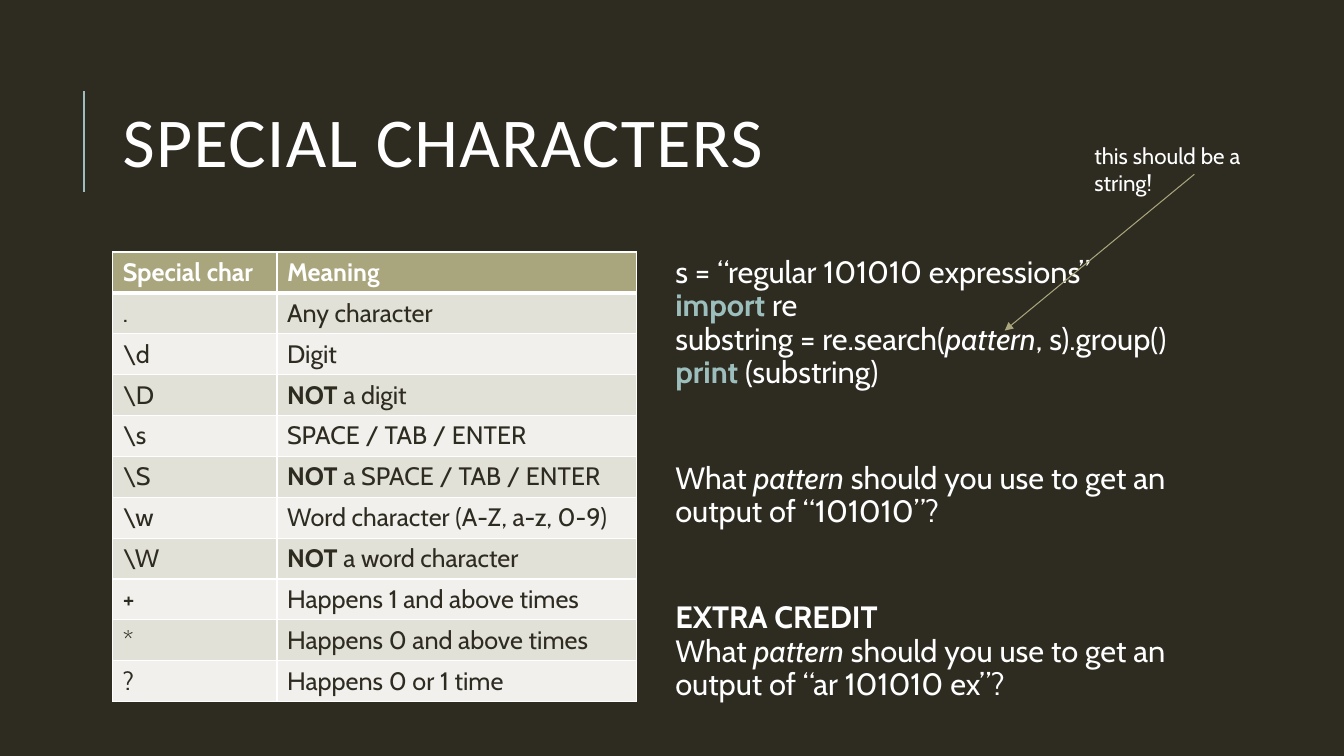
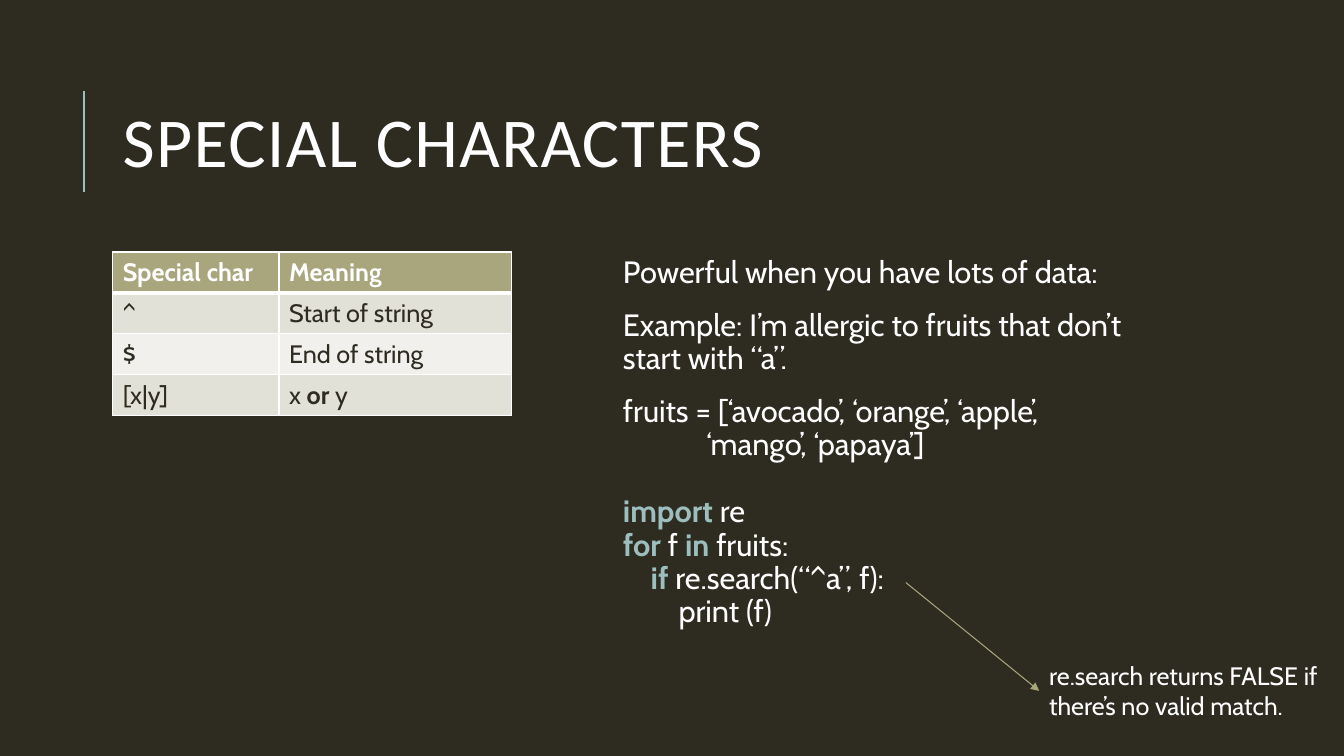
from dataclasses import dataclass

from lxml.etree import SubElement
from pptx import Presentation
from pptx.dml.color import RGBColor
from pptx.enum.shapes import MSO_CONNECTOR as Connector
from pptx.enum.text import MSO_ANCHOR as Anchor
from pptx.oxml.ns import qn
from pptx.util import Cm, Pt

COLORS = {
    "ground": "2E2B21",
    "text": "FFFFFF",
    "accent": "9CBEBD",
    "header": "A9A57C",
    "odd_row": "E2E1D7",
    "even_row": "F1F0EC",
}
HEADING_FONT, BODY_FONT = "Calibri", "Cabin"
CONTENT_TOP, CONTENT_RIGHT, LEFT = 6.35, 29.85, 2.84
ROW_HEIGHT = 1.03
INDENT_STEP = 0.7
PARAGRAPH_GAP = 14  # points between ordinary paragraphs
LINE_GAP = 24       # one empty line of body text
SECTION_GAP = 52    # an empty paragraph with its spacing


def rgb(name):
    return RGBColor.from_string(COLORS[name])


def bold(text):
    return text, "bold"


def italic(text):
    return text, "italic"


def keyword(text):
    return text, "keyword"


@dataclass
class Line:
    """One paragraph: its runs, the space before it and its indent level."""
    runs: tuple
    before: float = 0
    level: int = 0


class Deck:
    """Holds the shared style and the slide being filled."""

    def __init__(self):
        self.prs = Presentation()
        self.prs.slide_width, self.prs.slide_height = Cm(33.87), Cm(19.05)
        self.slide = None

    def new_slide(self, title):
        self.slide = self.prs.slides.add_slide(self.prs.slide_layouts[6])
        background = self.slide.background.fill
        background.solid()
        background.fore_color.rgb = rgb("ground")
        self.line((2.11, 4.83), (2.11, 2.29), "accent", 1.5)
        frame = self.text_frame(LEFT, 1.63, 27, 4.17)[1]
        frame.vertical_anchor = Anchor.MIDDLE
        heading = frame.paragraphs[0]
        heading.line_spacing = 0.8
        self.add_runs(heading, (title,), 50, font=HEADING_FONT, spacing=100)

    def add_runs(self, paragraph, runs, size, color="text", font=BODY_FONT, spacing=0):
        for item in runs:
            text, style = (item, "plain") if isinstance(item, str) else item
            run = paragraph.add_run()
            run.text = text
            run.font.name, run.font.size = font, Pt(size)
            run.font.bold = style in ("bold", "keyword")
            run.font.italic = style == "italic"
            run.font.color.rgb = rgb("accent" if style == "keyword" else color)
            if spacing:
                run.font._element.set("spc", str(spacing))

    def text_frame(self, left, top, width, height):
        box = self.slide.shapes.add_textbox(Cm(left), Cm(top), Cm(width), Cm(height))
        box.text_frame.word_wrap = True
        return box, box.text_frame

    def body(self, left, lines):
        frame = self.text_frame(left, CONTENT_TOP, CONTENT_RIGHT - left, 11.66)[1]
        frame.margin_left = Cm(0.38)
        frame.margin_top = frame.margin_right = frame.margin_bottom = Cm(0.13)
        for number, line in enumerate(lines):
            paragraph = frame.add_paragraph() if number else frame.paragraphs[0]
            paragraph.line_spacing = 0.9
            paragraph.space_before, paragraph.space_after = Pt(line.before), Pt(0)
            if line.level:
                properties = paragraph._p.get_or_add_pPr()
                properties.set("marL", str(Cm(INDENT_STEP * line.level)))
                properties.set("indent", "0")
            self.add_runs(paragraph, line.runs, 22)

    def note(self, left, top, width, height, text, size):
        box, frame = self.text_frame(left, top, width, height)
        self.add_runs(frame.paragraphs[0], (text,), size)
        return box

    def line(self, start, end, color, weight):
        points = [Cm(value) for value in (*start, *end)]
        line = self.slide.shapes.add_connector(Connector.STRAIGHT, *points)
        line.line.color.rgb = rgb(color)
        line.line.width = Pt(weight)
        SubElement(line._element.spPr, qn("a:effectLst"))
        return line

    def arrow(self, start, end):
        arrow = self.line(start, end, "header", 0.75)
        SubElement(arrow.line._get_or_add_ln(), qn("a:tailEnd"), type="triangle")
        return arrow

    def border(self, cell, side, weight):
        edge = SubElement(cell._tc.get_or_add_tcPr(), qn(f"a:ln{side}"), w=str(Pt(weight)))
        fill = SubElement(edge, qn("a:solidFill"))
        SubElement(fill, qn("a:srgbClr"), val=COLORS["text"])

    def table(self, widths, entries):
        rows = [((bold("Special char"),), (bold("Meaning"),))]
        rows += [((char,), meaning) for char, meaning in entries]
        table = self.slide.shapes.add_table(
            len(rows), len(widths), Cm(LEFT), Cm(CONTENT_TOP),
            Cm(sum(widths)), Cm(ROW_HEIGHT * len(rows))).table
        for column, width in zip(table.columns, widths):
            column.width = Cm(width)
        for r, row in enumerate(rows):
            table.rows[r].height = Cm(ROW_HEIGHT)
            band = "header" if r == 0 else "odd_row" if r % 2 else "even_row"
            for c, runs in enumerate(row):
                cell = table.cell(r, c)
                for side in "LRTB":
                    under_header = (r, side) in ((0, "B"), (1, "T"))
                    self.border(cell, side, 3 if under_header else 1)
                cell.fill.solid()
                cell.fill.fore_color.rgb = rgb(band)
                self.add_runs(cell.text_frame.paragraphs[0], runs, 18,
                              "ground" if r else "text")


def character_classes(deck):
    deck.new_slide("SPECIAL CHARACTERS")
    deck.table((4.14, 9.07), [
        (".", ("Any character",)),
        ("\\d", ("Digit",)),
        ("\\D", (bold("NOT"), " a digit")),
        ("\\s", ("SPACE / TAB / ENTER",)),
        ("\\S", (bold("NOT"), " a SPACE / TAB / ENTER")),
        ("\\w", ("Word character (A-Z, a-z, 0-9)",)),
        ("\\W", (bold("NOT "), "a word character")),
        ("+", ("Happens 1 and above times",)),
        ("*", ("Happens 0 and above times",)),
        ("?", ("Happens 0 or 1 time",)),
    ])
    # Code and questions
    question = ("What ", italic("pattern"), " should you use to get an output of ")
    deck.body(16.64, [
        Line(("s = “regular 101010 expressions”",)),
        Line((keyword("import"), " re")),
        Line(("substring = re.search(", italic("pattern"), ", s).group()")),
        Line((keyword("print"), " (substring)")),
        Line((*question, "“101010”?"), SECTION_GAP),
        Line((bold("EXTRA CREDIT"),), SECTION_GAP),
        Line((*question, "“ar 101010 ex”?")),
    ])
    # Hint pointing at the pattern
    hint = deck.note(27.33, 3.45, 5.54, 0.94, "this should be a string!", 16)
    deck.arrow((30.1, 4.39), (25.32, 8.33)).begin_connect(hint, 2)


def anchors_and_choice(deck):
    deck.new_slide("SPECIAL CHARACTERS")
    deck.table((4.19, 5.87), [
        ("^", ("Start of string",)),
        ("$", ("End of string",)),
        ("[x|y]", ("x ", bold("or"), " y")),
    ])
    # Example with its code
    deck.body(15.32, [
        Line(("Powerful when you have lots of data:",)),
        Line(("Example: I’m allergic to fruits that don’t start with “a”.",), PARAGRAPH_GAP),
        Line(("fruits = [‘avocado’, ‘orange’, ‘apple’,",), PARAGRAPH_GAP),
        Line(("‘mango’, ‘papaya’]",), level=3),
        Line((keyword("import "), "re"), LINE_GAP),
        Line((keyword("for "), "f ", keyword("in "), "fruits:")),
        Line((keyword("if "), "re.search(“^a”, f):"), level=1),
        Line(("print (f)",), level=2),
    ])
    # Remark on the search result
    remark = deck.note(26.19, 16.51, 7.34, 1.8,
                       "re.search returns FALSE if there’s no valid match.", 18)
    deck.arrow((22.83, 14.68), (26.19, 17.41)).end_connect(remark, 1)


def main():
    deck = Deck()
    character_classes(deck)
    anchors_and_choice(deck)
    deck.prs.save("out.pptx")


if __name__ == "__main__":
    main()
